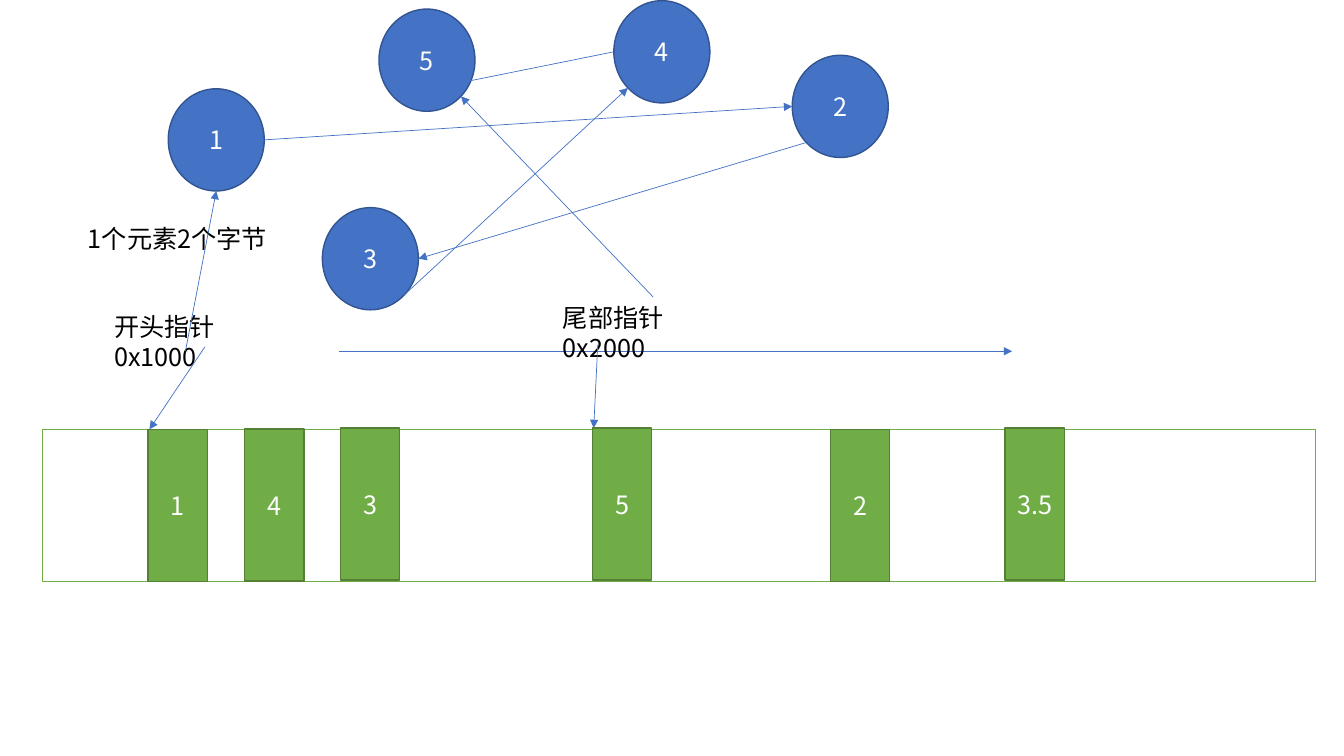
from lxml import etree
from pptx import Presentation
from pptx.dml.color import RGBColor
from pptx.enum.shapes import MSO_CONNECTOR, MSO_SHAPE
from pptx.enum.text import MSO_ANCHOR, MSO_AUTO_SIZE, PP_ALIGN
from pptx.oxml.ns import qn
from pptx.util import Pt

OVAL, RECTANGLE = MSO_SHAPE.OVAL, MSO_SHAPE.RECTANGLE
STRAIGHT = MSO_CONNECTOR.STRAIGHT
MIDDLE, TOP = MSO_ANCHOR.MIDDLE, MSO_ANCHOR.TOP
CENTER, LEFT = PP_ALIGN.CENTER, PP_ALIGN.LEFT
GROW = MSO_AUTO_SIZE.SHAPE_TO_FIT_TEXT

FONT = "Noto Sans CJK SC"
COLORS = {
    "white": "FFFFFF", "black": "000000",
    "blue": "4472C4", "dark_blue": "325491",
    "green": "70AD47", "dark_green": "538035",
}

# Linked list nodes: label -> left, top
NODE_SIZE = (68.6, 73)
NODES = {
    "1": (120.2, 63.4), "2": (565.9, 39.5), "4": (438.5, 0.5),
    "3": (230.3, 148.3), "5": (270.7, 6.5),
}
# Node, side it leaves from, next node, side it arrives at
LINKS = [
    ("1", "right", "2", "left"),
    ("2", "bottom_left", "3", "right"),
    ("3", "bottom_right", "4", "bottom_left"),
    ("4", "left", "5", "bottom_left"),
]
DIAGONAL = 0.5 ** 0.5 / 2
SIDES = {
    "left": (0, 0.5), "right": (1, 0.5), "bottom": (0.5, 1),
    "bottom_left": (0.5 - DIAGONAL, 0.5 + DIAGONAL),
    "bottom_right": (0.5 + DIAGONAL, 0.5 + DIAGONAL),
}

# Memory strip and its cells: label, left, top
MEMORY = (30.2, 306.9, 909.4, 108.4)
CELL_SIZE = (42.5, 108.6)
CELLS = [
    ("1", 105.8, 306.9), ("2", 593.1, 306.9), ("3", 243.1, 305.8),
    ("4", 174.7, 306.5), ("5", 423.1, 305.8), ("3.5", 717.8, 305.8),
]

# Captions: text, left, top
CAPTION_SIZE = (143, 29.1)
CAPTIONS = [
    ("开头指针0x1000", 74.6, 218.9),
    ("1个元素2个字节", 55.7, 155.8),
    ("尾部指针0x2000", 395, 212.4),
]

TRAVERSAL = ((242, 250.9), (723, 250.9))
# Pointers into memory, then pointers to nodes: start, node, side
MEMORY_POINTERS = [
    ((146.4, 247.7), (106.8, 306.7)),
    ((427, 246.2), (424.1, 305.8)),
]
NODE_POINTERS = [((466.6, 212.2), "5", "bottom_right"),
                 ((132.5, 250.6), "1", "bottom")]


def rgb(name):
    """Return the named palette colour."""
    return RGBColor.from_string(COLORS[name])


def set_text(shape, text, color, alignment, **frame_format):
    """Write one line of text into a shape and format it."""
    frame = shape.text_frame
    for name, value in frame_format.items():
        setattr(frame, name, value)
    paragraph = frame.paragraphs[0]
    paragraph.alignment = alignment
    run = paragraph.add_run()
    run.text = text
    for name, value in {"name": FONT, "size": Pt(18)}.items():
        setattr(run.font, name, value)
    run.font.color.rgb = rgb(color)
    etree.SubElement(run.font._element, qn("a:ea"), typeface=FONT)


def add_box(slide, kind, bounds, fill, line, text=""):
    """Add a filled, outlined shape with an optional centred label."""
    shape = slide.shapes.add_shape(kind, *map(Pt, bounds))
    shape.shadow.inherit = False
    shape.fill.solid()
    shape.fill.fore_color.rgb = rgb(fill)
    shape.line.color.rgb = rgb(line)
    shape.line.width = Pt(1)
    if text:
        set_text(shape, text, "white", CENTER, vertical_anchor=MIDDLE)


def add_arrow(slide, start, end):
    """Add a thin blue arrow between two points."""
    arrow = slide.shapes.add_connector(STRAIGHT, *map(Pt, start + end))
    arrow.line.color.rgb = rgb("blue")
    arrow.line.width = Pt(0.5)
    etree.SubElement(arrow.line._get_or_add_ln(), qn("a:tailEnd"), type="triangle")
    etree.SubElement(arrow._element.spPr, qn("a:effectLst"))


def node_point(label, side):
    """Return the point on a node's rim at the given side."""
    return tuple(origin + size * share for origin, size, share
                 in zip(NODES[label], NODE_SIZE, SIDES[side]))


presentation = Presentation()
presentation.slide_width, presentation.slide_height = Pt(960), Pt(540)
slide = presentation.slides.add_slide(presentation.slide_layouts[6])

for label, corner in NODES.items():
    add_box(slide, OVAL, corner + NODE_SIZE, "blue", "dark_blue", label)
for source, source_side, target, target_side in LINKS:
    add_arrow(slide, node_point(source, source_side), node_point(target, target_side))

add_box(slide, RECTANGLE, MEMORY, "white", "green")
add_arrow(slide, *TRAVERSAL)
for label, left, top in CELLS:
    add_box(slide, RECTANGLE, (left, top) + CELL_SIZE, "green", "dark_green", label)

for text, left, top in CAPTIONS:
    caption = slide.shapes.add_textbox(*map(Pt, (left, top) + CAPTION_SIZE))
    set_text(caption, text, "black", LEFT, vertical_anchor=TOP,
             word_wrap=True, auto_size=GROW)

for start, end in MEMORY_POINTERS:
    add_arrow(slide, start, end)
for start, label, side in NODE_POINTERS:
    add_arrow(slide, start, node_point(label, side))

presentation.save("out.pptx")
